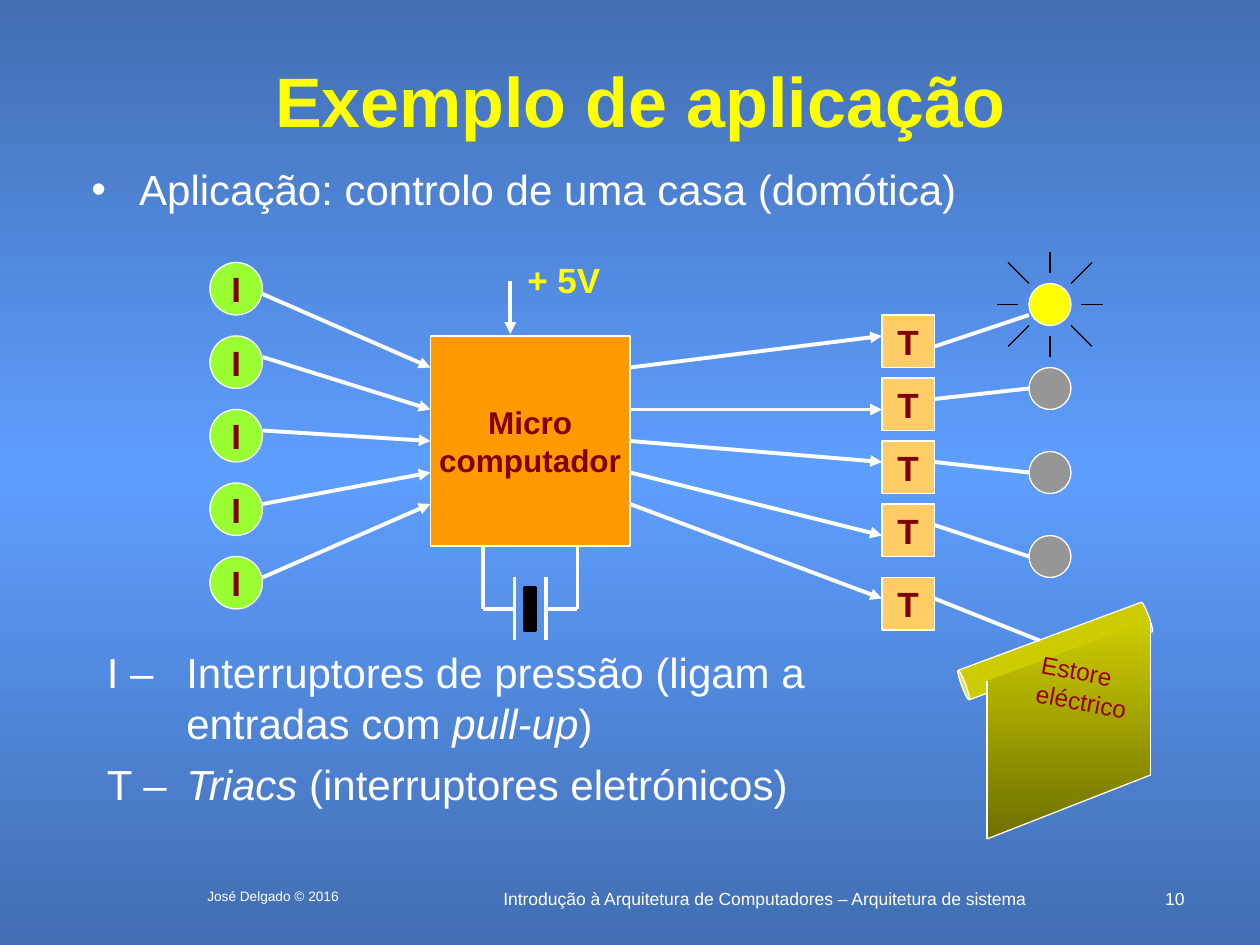
from copy import deepcopy
from dataclasses import dataclass

from lxml import etree
from pptx import Presentation
from pptx import util as u
from pptx.dml.color import RGBColor
from pptx.enum import shapes, text
from pptx.oxml import ns

COLS, ROWS = 120, 90
SHAPE = shapes.MSO_SHAPE
ALIGN = text.PP_ALIGN


@dataclass(frozen=True)
class Theme:
    font: str = "Arial"
    white: str = "FFFFFF"
    black: str = "000000"
    yellow: str = "FFFF00"
    maroon: str = "800000"
    red: str = "990000"
    orange: str = "FF9900"
    sand: str = "FFCC66"
    lime: str = "99FF33"
    gray: str = "969696"
    olive: str = "CCCC00"
    moss: str = "6F6F00"
    sky: tuple = ("426EB2", "5E9EFF", "426EB2")
    title: float = 40
    body: float = 24
    mark: float = 20
    chip: float = 18
    label: float = 14
    foot: float = 10
    small: float = 7.8
    thin: float = 0.75
    thick: float = 2.25


class Board:
    def __init__(self, deck, theme):
        self.theme = theme
        self.wide, self.high = deck.slide_width, deck.slide_height
        self.slide = deck.slides.add_slide(deck.slide_layouts[1])
        self.items = self.slide.shapes
        self.blend(self.slide.background.fill, theme.sky)

    def spot(self, col, row):
        return round(self.wide * col / COLS), round(self.high * row / ROWS)

    def area(self, col, row, cols, rows):
        return *self.spot(col, row), *self.spot(cols, rows)

    def blend(self, fill, tints):
        fill.gradient()
        fill.gradient_angle = 270
        stop = fill.gradient_stops[0]._gs
        for _ in tints[2:]:
            stop.getparent().append(deepcopy(stop))
        for n, (part, tint) in enumerate(zip(fill.gradient_stops, tints)):
            part.position = n / (len(tints) - 1)
            part.color.rgb = RGBColor.from_string(tint)

    def letter(self, item, lines, size, tint, bold=False, align=ALIGN.LEFT,
               anchor=text.MSO_ANCHOR.TOP, wrap=True, hang=0):
        frame = item.text_frame
        frame.auto_size = text.MSO_AUTO_SIZE.NONE
        frame.word_wrap = wrap
        frame.vertical_anchor = anchor
        for n, line in enumerate(lines):
            para = frame.add_paragraph() if n else frame.paragraphs[0]
            para.alignment = align
            para.space_before = u.Pt(6 if n and hang else 0)
            if hang:
                props = para._p.get_or_add_pPr()
                props.set("marL", str(u.Inches(hang)))
                props.set("indent", str(-u.Inches(hang)))
            for k, part in enumerate(line.split("*")):
                if part:
                    run = para.add_run()
                    run.text = part
                    if k % 2:
                        run.font.italic = True
            font = para.font
            font.name, font.size, font.bold = self.theme.font, u.Pt(size), bold
            font.color.rgb = RGBColor.from_string(tint)

    def holder(self, index, area, line, size, tint, **style):
        item = self.slide.placeholders[index]
        item.left, item.top, item.width, item.height = self.area(*area)
        self.letter(item, [line], size, tint, **style)

    def note(self, area, lines, size, tint, turn=0, **style):
        item = self.items.add_textbox(*self.area(*area))
        item.rotation = turn
        self.letter(item, lines, size, tint, **style)

    def shape(self, kind, area, tint, lines=(), size=0, edge=None, width=None):
        item = self.items.add_shape(kind, *self.area(*area))
        item.shadow.inherit = False
        item.fill.solid()
        item.fill.fore_color.rgb = RGBColor.from_string(tint)
        item.line.color.rgb = RGBColor.from_string(edge or self.theme.white)
        item.line.width = u.Pt(width or self.theme.thin)
        if lines:
            self.letter(item, lines, size, self.theme.maroon, True,
                        ALIGN.CENTER, text.MSO_ANCHOR.MIDDLE, False)
        return item

    def sheet(self, points, tints):
        first, *rest = [self.spot(*point) for point in points]
        form = self.items.build_freeform(*first)
        form.add_line_segments(rest)
        item = form.convert_to_shape()
        item.shadow.inherit = False
        self.blend(item.fill, tints)
        item.line.fill.background()

    def wire(self, *points, tint=None, width=None, arrow=False):
        for start, end in zip(points, points[1:]):
            item = self.items.add_connector(
                shapes.MSO_CONNECTOR.STRAIGHT, *self.spot(*start), *self.spot(*end))
            item.line.color.rgb = RGBColor.from_string(tint or self.theme.white)
            item.line.width = u.Pt(width or self.theme.thick)
            if arrow:
                etree.SubElement(item.line._get_or_add_ln(),
                                 ns.qn("a:tailEnd"), type="triangle")
            etree.SubElement(item._element.spPr, ns.qn("a:effectLst"))


def lamps(board, theme):
    board.shape(SHAPE.OVAL, (98, 27, 4, 4), theme.yellow)
    for x in (-1, 0, 1):
        for y in (-1, 0, 1):
            if x or y:
                near, far = (2, 4) if x and y else (3, 5)
                board.wire((100 + near * x, 29 + near * y),
                           (100 + far * x, 29 + far * y),
                           tint=theme.black, width=theme.thin)
    for row in (35, 43, 51):
        board.shape(SHAPE.OVAL, (98, row, 4, 4), theme.gray)


def blind(board, theme):
    roll = board.shape(SHAPE.CAN, (99, 52.5, 3, 19), theme.olive)
    roll.adjustments[0] = 0.13
    roll.rotation = 249.6
    edge = [(109.6, 59.1), (109.6, 73.8), (94, 79.9), (94, 64.9)]
    board.sheet(edge, (theme.olive, theme.moss))
    board.wire(*edge, width=theme.thin)
    board.note((97, 62, 11.6, 14.3), ["Estore", "eléctrico"], theme.label,
               theme.red, turn=10.9, wrap=False)


def links(board, theme):
    ports = (35, 39, 42, 45, 48)
    for n, (port, out) in enumerate(zip(ports, (28, 34, 41, 48, 55))):
        board.shape(SHAPE.OVAL, (20, 25 + 7 * n, 5, 5), theme.lime, ["I"], theme.mark)
        board.wire((25, out), (41, port), arrow=True)
    tops = (30, 36, 42, 48, 55)
    goals = (32, 39, 44, 51, 57)
    outs = (33, 38, 44, 50, 57)
    ends = ((98, 30), (98, 37), (98, 45), (98, 53), (99, 61))
    for port, top, goal, out, end in zip(ports, tops, goals, outs, ends):
        board.shape(SHAPE.RECTANGLE, (84, top, 5, 5), theme.sand, ["T"], theme.mark)
        board.wire((60, port), (84, goal), arrow=True)
        board.wire((89, out), end)


def chip(board, theme):
    board.shape(SHAPE.RECTANGLE, (41, 32, 19, 20), theme.orange,
                ["Micro", "computador"], theme.chip)
    board.shape(SHAPE.RECTANGLE, (50, 56, 1, 4), theme.black,
                edge=theme.black, width=theme.thick)
    for plate, leg in ((49, 46), (52, 55)):
        board.wire((plate, 55), (plate, 61))
        board.wire((plate, 58), (leg, 58), (leg, 52))
    board.wire((48.6, 26.8), (48.6, 31.8), arrow=True)
    board.note((49, 24, 9.4, 5.3), ["+ 5V"], theme.mark, theme.yellow,
               bold=True, align=ALIGN.CENTER, wrap=False)


def main():
    deck = Presentation()
    deck.slide_width, deck.slide_height = u.Inches(10), u.Inches(7.5)
    theme = Theme()
    board = Board(deck, theme)
    board.holder(0, (9, 5, 104, 9), "Exemplo de aplicação", theme.title, theme.yellow,
                 bold=True, align=ALIGN.CENTER, anchor=text.MSO_ANCHOR.MIDDLE)
    board.holder(1, (7.5, 15, 105, 7), "Aplicação: controlo de uma casa (domótica)",
                 theme.body, theme.white, hang=0.38)
    chip(board, theme)
    lamps(board, theme)
    blind(board, theme)
    links(board, theme)
    board.note((9, 61, 74, 20),
               ["I –\tInterruptores de pressão (ligam a entradas com *pull-up*)",
                "T –\t*Triacs* (interruptores eletrónicos)"],
               theme.body, theme.white, hang=0.63)
    board.note((40, 84, 65.6, 3),
               ["Introdução à Arquitetura de Computadores – Arquitetura de sistema"],
               theme.foot, theme.white, align=ALIGN.CENTER)
    board.note((109, 84, 5, 2), ["10"], theme.foot, theme.white, align=ALIGN.RIGHT)
    board.note((16, 84, 20, 3), ["José Delgado © 2016"], theme.small, theme.white,
               align=ALIGN.CENTER)
    deck.save("out.pptx")


if __name__ == "__main__":
    main()
